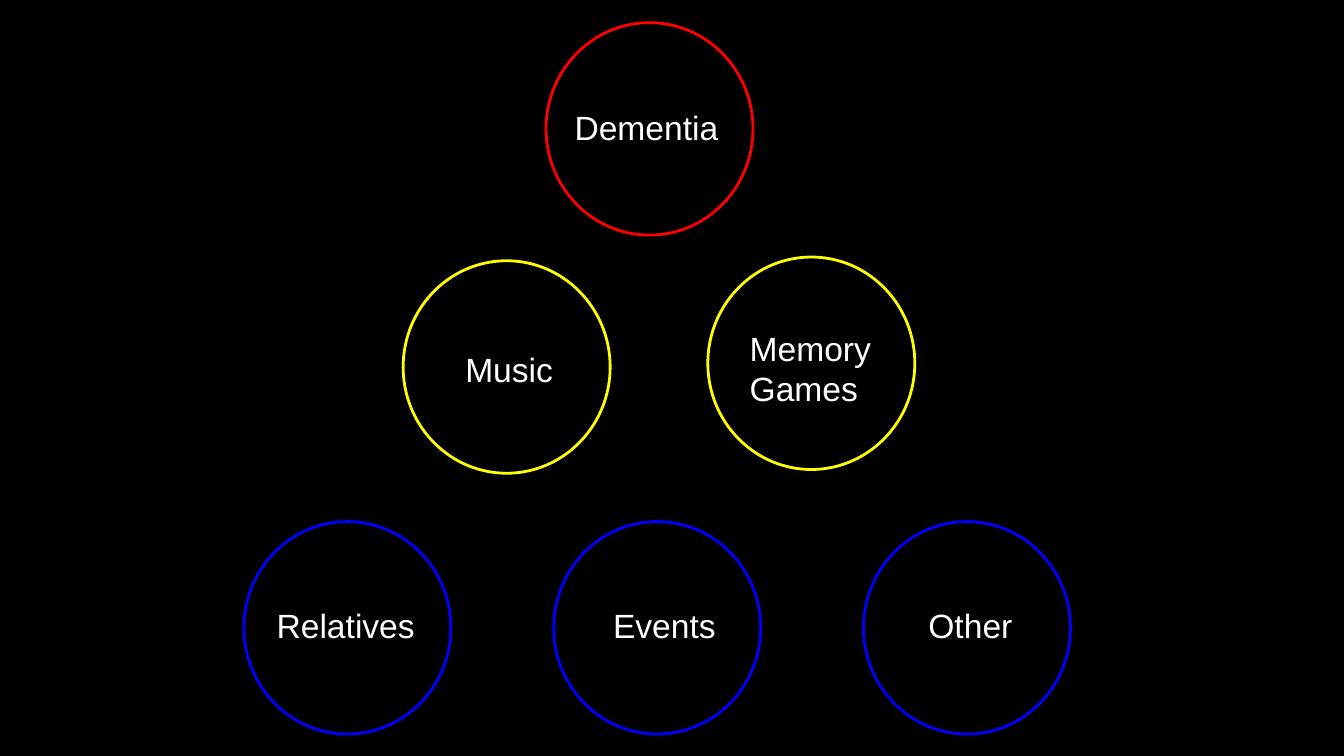
from pptx import Presentation
from pptx.dml.color import RGBColor
from pptx.enum.shapes import MSO_SHAPE
from pptx.enum.text import MSO_ANCHOR, MSO_AUTO_SIZE, PP_ALIGN
from pptx.util import Inches, Pt

hues = {"back": "000000", "text": "FFFFFF", "top": "FF0000",
        "mid": "FFFF00", "low": "0000FF"}

deck = Presentation()
deck.slide_width = Inches(10)
deck.slide_height = deck.slide_width * 9 // 16
col = deck.slide_width / 100
row = deck.slide_height / 100

slide = deck.slides.add_slide(deck.slide_layouts[5])
slide.background.fill.solid()
slide.background.fill.fore_color.rgb = RGBColor.from_string(hues["back"])


def place(left, top, wide, high):
    return [int(left * col), int(top * row), int(wide * col), int(high * row)]


def write(box, spot, lines):
    box.left, box.top, box.width, box.height = place(*spot)
    frame = box.text_frame
    frame.word_wrap = True
    frame.auto_size = MSO_AUTO_SIZE.NONE
    frame.vertical_anchor = MSO_ANCHOR.TOP
    frame.margin_left = frame.margin_right = Inches(0.1)
    frame.margin_top = frame.margin_bottom = Inches(0.1)
    for i, line in enumerate(lines):
        para = frame.add_paragraph() if i else frame.paragraphs[0]
        para.alignment = PP_ALIGN.LEFT
        para.line_spacing = 1.0
        run = para.add_run()
        run.text = line
        run.font.name = "Arial"
        run.font.size = Pt(18)
        run.font.color.rgb = RGBColor.from_string(hues["text"])


low, step = 18.15, 23.05
rings = [("top", 40.63, 3), ("mid", 52.67, 34), ("mid", 30, 34.5)]
rings += [("low", low + i * step, 69) for i in range(3)]
for tier, left, top in rings:
    ring = slide.shapes.add_shape(MSO_SHAPE.OVAL, *place(left, top, 15.4, 28.1))
    ring.shadow.inherit = False
    ring.fill.background()
    ring.line.color.rgb = RGBColor.from_string(hues[tier])
    ring.line.width = Pt(1.5)

high = 15.8
write(slide.shapes.title, (41.75, 12.4, 31.8, high), ["Dementia"])
labels = [
    (["Memory", "Games"], 54.8, 41.6, 19.4),
    (["Music"], 33.64, 44.4, 11),
    (["Relatives"], 19.6, 78.3, 12.5),
    (["Events"], 44.63, 78.3, 11),
    (["Other"], 68.1, 78.3, 11),
]
for lines, left, top, wide in labels:
    box = slide.shapes.add_textbox(0, 0, 0, 0)
    write(box, (left, top, wide, high), lines)

deck.save("out.pptx")
